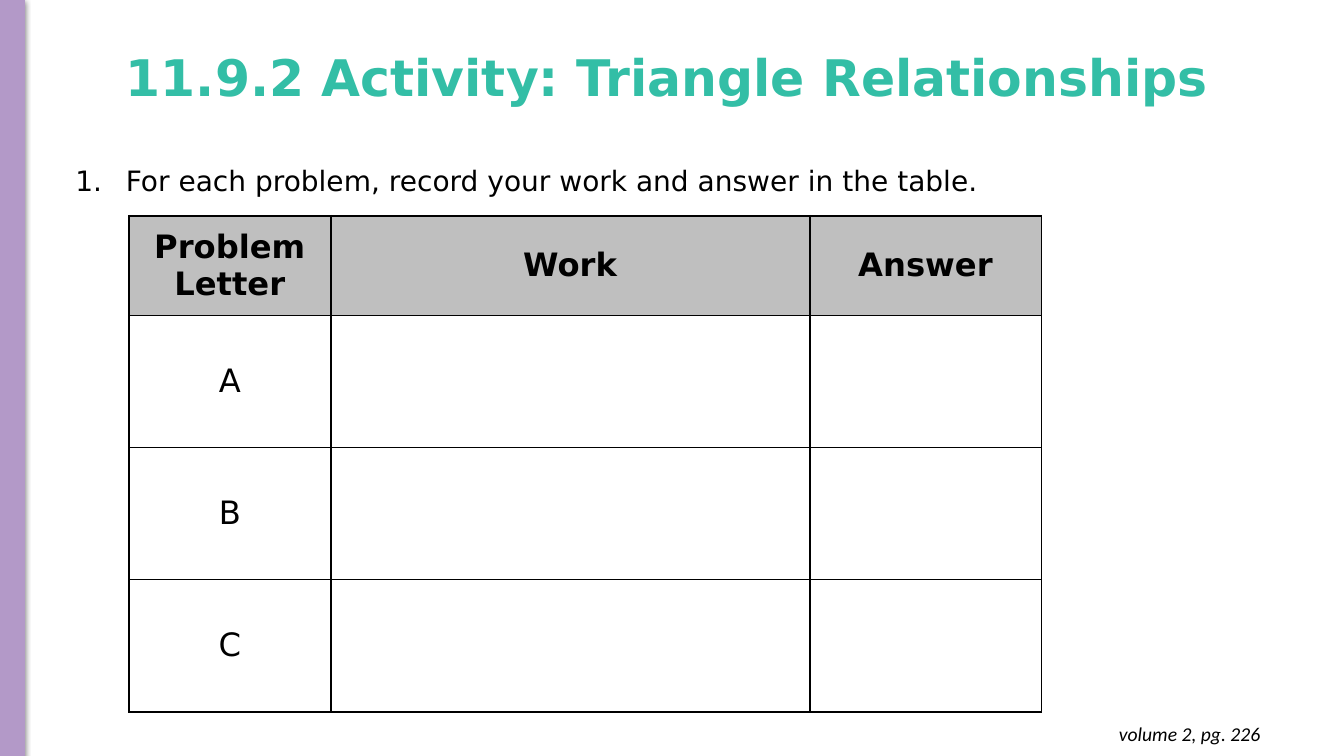
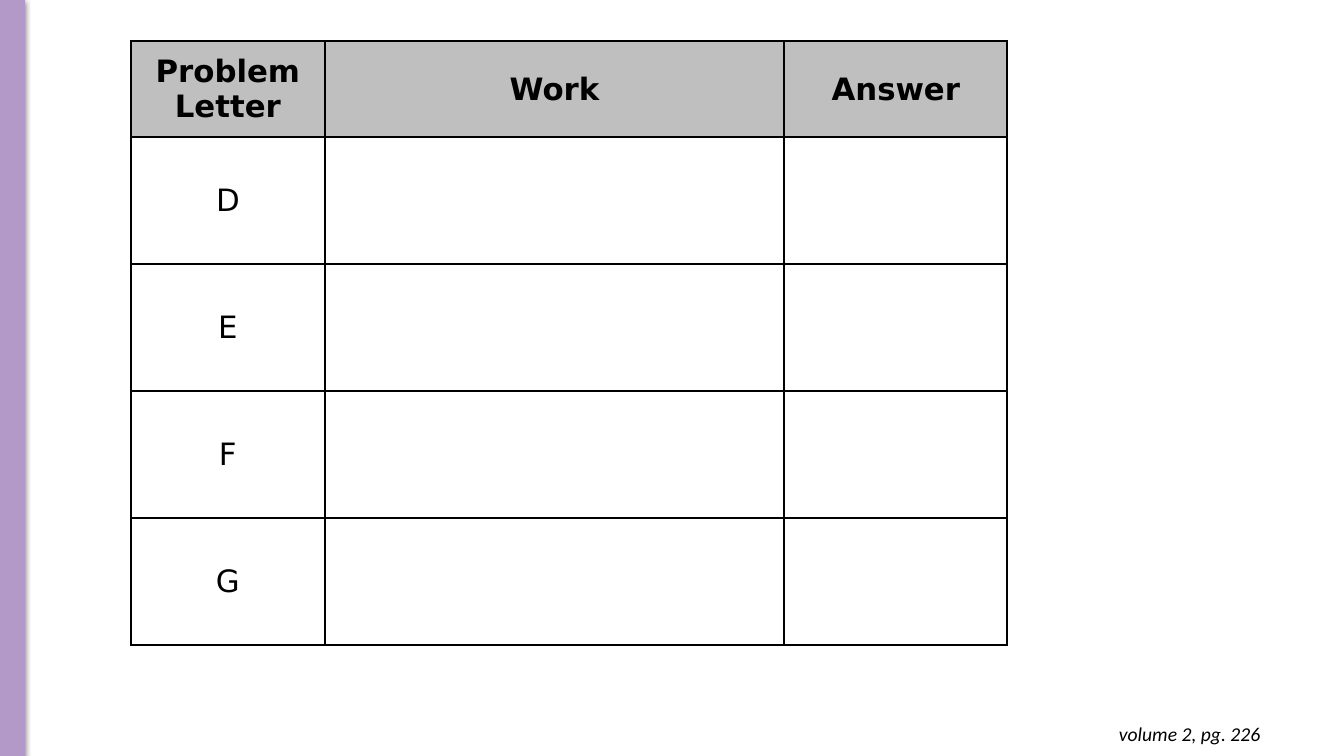
from dataclasses import dataclass

from lxml.etree import SubElement as Sub
from pptx import Presentation
from pptx.dml.color import RGBColor as Rgb
from pptx.enum.shapes import MSO_SHAPE as Shape
from pptx.enum.text import MSO_ANCHOR as Anchor, MSO_AUTO_SIZE as Auto, PP_ALIGN as Align
from pptx.oxml.ns import qn
from pptx.util import Inches, Pt


@dataclass(frozen=True)
class Theme:
    band: str = "B399C8"
    teal: str = "33BEA6"
    ink: str = "000000"
    gray: str = "BFBFBF"
    sans: str = "DejaVu Sans"
    foot: str = "Calibri"
    head: int = 36
    body: int = 20
    note: int = 14


def apply(item, style):
    for key, value in style.items():
        setattr(item, key, value)


def add(node, tag, **attrs):
    return Sub(node, qn(tag), {key: str(value) for key, value in attrs.items()})


class Deck:
    def __init__(self, theme):
        self.theme = theme
        self.prs = Presentation()
        apply(self.prs, {"slide_width": Inches(13.33), "slide_height": Inches(7.5)})
        self.slide = None

    def page(self):
        self.slide = self.prs.slides.add_slide(self.prs.slide_layouts[6])
        self.band()
        self.footer()

    def band(self):
        bar = self.slide.shapes.add_shape(Shape.RECTANGLE, 0, 0, Inches(0.24), Inches(7.5))
        color = Rgb.from_string(self.theme.band)
        bar.fill.solid()
        bar.fill.fore_color.rgb = color
        bar.line.color.rgb = color
        bar.line.width = Pt(0.75)
        bar.shadow.inherit = False
        glow = add(bar._element.spPr.find(qn("a:effectLst")), "a:outerShdw",
                   blurRad=Pt(4.5), dist=Pt(1.5), dir=90 * 60000, rotWithShape=0)
        tint = add(glow, "a:srgbClr", val=self.theme.ink)
        add(tint, "a:alpha", val=50000)

    def label(self, para, text, size, color=None, font=None, **style):
        run = para.add_run()
        run.text = text
        apply(run.font, {"size": Pt(size), "name": font or self.theme.sans, **style})
        run.font.color.rgb = Rgb.from_string(color or self.theme.ink)

    def box(self, area, pad=0.05, **style):
        frame = self.slide.shapes.add_textbox(*map(Inches, area)).text_frame
        apply(frame, {
            "word_wrap": True,
            "margin_left": Inches(0.1), "margin_right": Inches(0.1),
            "margin_top": Inches(pad), "margin_bottom": Inches(pad),
            **style,
        })
        return frame.paragraphs[0]

    def title(self, text):
        para = self.box((1.15, 0.07, 11.85, 1.45), vertical_anchor=Anchor.MIDDLE)
        para.line_spacing = 0.9
        self.label(para, text, self.theme.head, self.theme.teal, bold=True)

    def step(self, text):
        para = self.box((0.65, 1.57, 10.14, 0.44), auto_size=Auto.SHAPE_TO_FIT_TEXT)
        props = para._p.get_or_add_pPr()
        props.set("marL", str(Inches(0.5)))
        props.set("indent", str(Inches(-0.5)))
        add(add(props, "a:buClr"), "a:srgbClr", val=self.theme.ink)
        add(props, "a:buFont", typeface="+mj-lt")
        add(props, "a:buAutoNum", type="arabicPeriod")
        self.label(para, text, self.theme.body)

    def footer(self):
        para = self.box((9.72, 7.06, 2.88, 0.44), 0.1, auto_size=Auto.SHAPE_TO_FIT_TEXT)
        para.alignment = Align.RIGHT
        self.label(para, "volume 2, pg. 226", self.theme.note, font=self.theme.foot, italic=True)

    def cell(self, cell, text, size, top):
        props = cell._tc.get_or_add_tcPr()
        for side in ("L", "R", "T", "B"):
            line = add(props, f"a:ln{side}", w=Pt(1.5))
            add(add(line, "a:solidFill"), "a:srgbClr", val=self.theme.ink)
        if top:
            cell.fill.solid()
            cell.fill.fore_color.rgb = Rgb.from_string(self.theme.gray)
        else:
            cell.fill.background()
        if text:
            sides = ("left", "right", "top", "bottom")
            apply(cell, {f"margin_{side}": Inches(0.11) for side in sides})
            cell.vertical_anchor = Anchor.MIDDLE
            para = cell.text_frame.paragraphs[0]
            para.alignment = Align.CENTER
            self.label(para, text, size, bold=top)

    def table(self, left, top, cols, head, row, letters, size):
        rows = [("Problem Letter", "Work", "Answer")] + [(mark, "", "") for mark in letters]
        highs = [head] + [row] * len(letters)
        area = (left, top, sum(cols), sum(highs))
        grid = self.slide.shapes.add_table(len(rows), len(cols), *map(Inches, area)).table
        apply(grid, {"first_row": False, "horz_banding": False})
        for col, wide in zip(grid.columns, cols):
            col.width = Inches(wide)
        for num, (line, high) in enumerate(zip(grid.rows, highs)):
            line.height = Inches(high)
            for cell, text in zip(line.cells, rows[num]):
                self.cell(cell, text, size, num == 0)


def main():
    deck = Deck(Theme())
    deck.page()
    deck.title("11.9.2 Activity: Triangle Relationships")
    deck.step("For each problem, record your work and answer in the table.")
    deck.table(1.28, 2.14, (2, 4.75, 2.3), 0.99, 1.31, "ABC", 23)
    deck.page()
    deck.table(1.3, 0.41, (1.92, 4.56, 2.21), 0.95, 1.26, "DEFG", 22)
    deck.prs.save("out.pptx")


if __name__ == "__main__":
    main()
